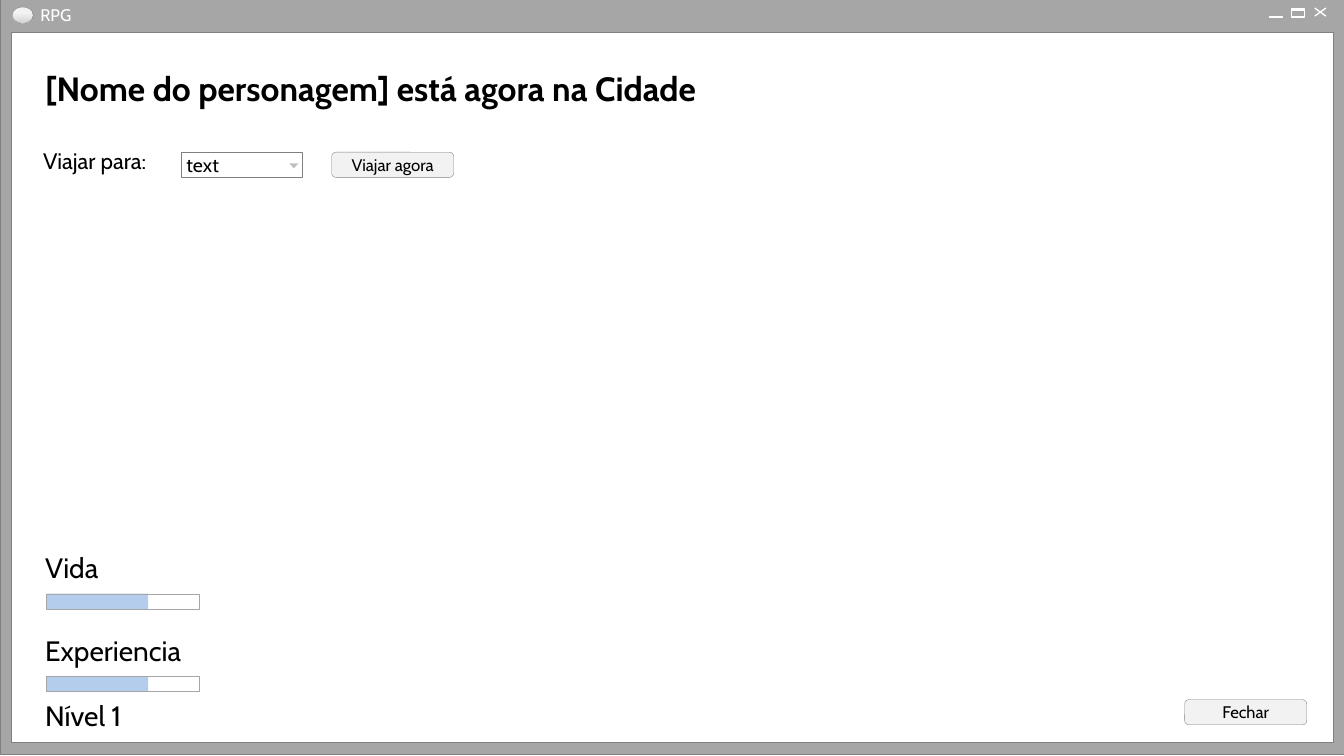
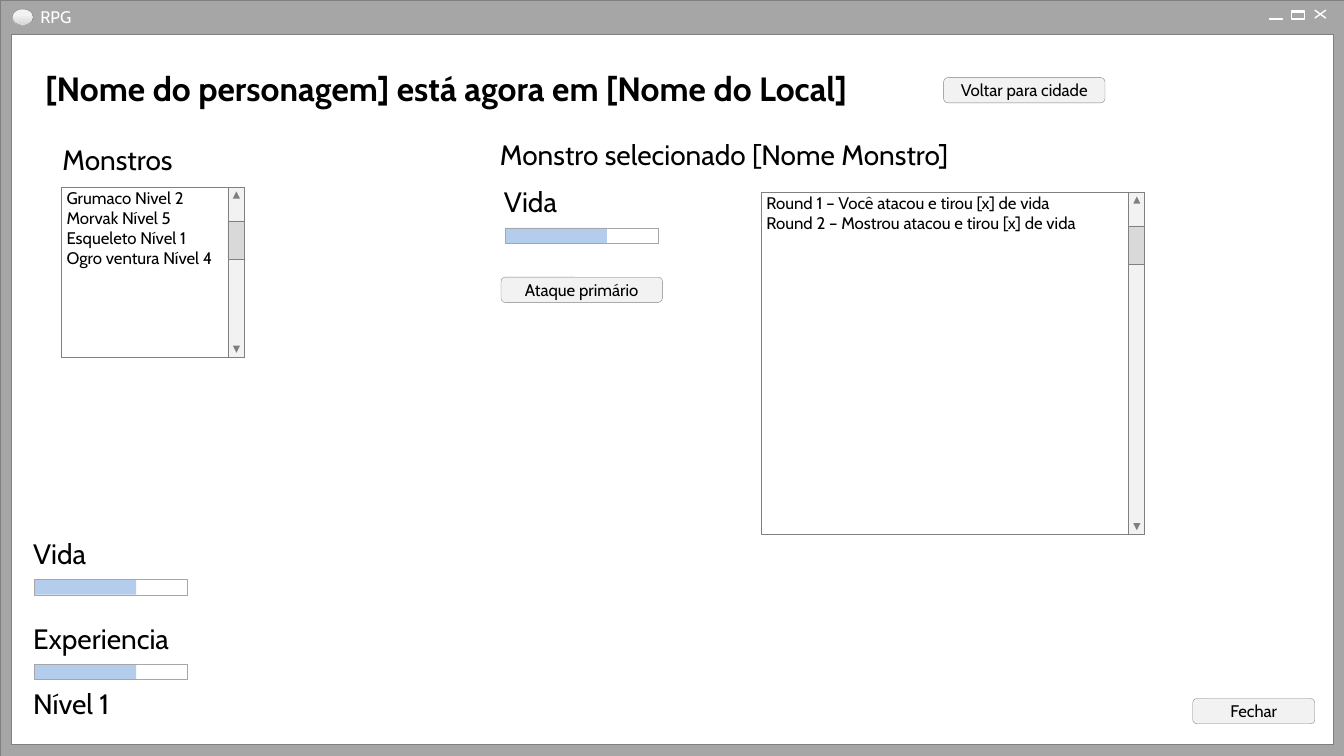
from copy import deepcopy
from dataclasses import dataclass

from lxml.etree import SubElement
from pptx import Presentation
from pptx.dml.color import RGBColor
from pptx.enum.shapes import MSO_CONNECTOR as CONN, MSO_SHAPE as SHAPE
from pptx.enum.text import MSO_ANCHOR as ANCHOR, MSO_AUTO_SIZE as AUTO, PP_ALIGN as ALIGN
from pptx.oxml.ns import qn
from pptx.util import Inches, Pt

FONT = "Cabin"
COLORS = {
    "black": "000000",
    "white": "FFFFFF",
    "chrome": "A6A6A6",
    "border": "808080",
    "icon": "919191",
    "button": "F2F2F2",
    "thumb": "D9D9D9",
    "arrow": "BFBFBF",
    "meter": "558ED5",
}
LABEL_INSETS = (0.1, 0.02, 0.1, 0.03)
LIST_INSETS = (0.05, 0, 0, 0.02)
BUTTON_INSETS = (0.1, 0, 0.1, 0.01)


@dataclass(frozen=True)
class Box:
    x: float
    y: float
    w: float
    h: float

    def lengths(self) -> tuple:
        return tuple(Inches(v) for v in (self.x, self.y, self.w, self.h))


@dataclass(frozen=True)
class Label:
    text: str
    box: Box
    size: int = 20


@dataclass(frozen=True)
class Button:
    text: str
    box: Box


@dataclass(frozen=True)
class ListPanel:
    items: tuple
    box: Box


@dataclass(frozen=True)
class Screen:
    title: Label
    layout: int
    window_y: float
    status_x: float
    status_y: float
    status_gap: float
    labels: tuple
    buttons: tuple
    meters: tuple = ()
    lists: tuple = ()


def rgb(name: str) -> RGBColor:
    return RGBColor.from_string(COLORS[name])


def add_box(shapes, kind, box: Box, fill=None, line=None, width=0.25, rotation=0):
    sp = shapes.add_shape(kind, *box.lengths())
    sp.shadow.inherit = False
    sp.rotation = rotation
    if fill:
        sp.fill.solid()
        sp.fill.fore_color.rgb = rgb(fill)
    else:
        sp.fill.background()
    if line:
        sp.line.color.rgb = rgb(line)
        sp.line.width = Pt(width)
    else:
        sp.line.fill.background()
    return sp


def write(sp, text: str, size: int, insets=LABEL_INSETS, color="black", bold=False,
          align=ALIGN.LEFT, anchor=ANCHOR.MIDDLE, wrap=False) -> None:
    tf = sp.text_frame
    tf.text = text
    tf.word_wrap = wrap
    tf.auto_size = AUTO.NONE
    tf.vertical_anchor = anchor
    tf.margin_left, tf.margin_top, tf.margin_right, tf.margin_bottom = map(Inches, insets)
    for p in tf.paragraphs:
        p.alignment = align
        for r in p.runs:
            r.font.name = FONT
            r.font.size = Pt(size)
            r.font.bold = bold
            r.font.color.rgb = rgb(color)


def place(sp, box: Box) -> None:
    sp.left, sp.top, sp.width, sp.height = box.lengths()
    sp.element.getparent().append(sp.element)


def add_label(shapes, label: Label, **style) -> None:
    write(shapes.add_textbox(*label.box.lengths()), label.text, label.size, **style)


def add_button(shapes, button: Button) -> None:
    sp = add_box(shapes, SHAPE.ROUNDED_RECTANGLE, button.box, "button", "border")
    write(sp, button.text, 12, BUTTON_INSETS, align=ALIGN.CENTER, wrap=True)


def add_stroke(shapes, x1: float, y1: float, x2: float, y2: float) -> None:
    cx = shapes.add_connector(CONN.STRAIGHT, *map(Inches, (x1, y1, x2, y2)))
    cx.line.color.rgb = rgb("white")
    cx.line.width = Pt(1)
    SubElement(cx.element.spPr, qn("a:effectLst"))


def add_orb(shapes, box: Box) -> None:
    sp = add_box(shapes, SHAPE.OVAL, box, line="border")
    sp.fill.gradient()
    sp.fill.gradient_angle = 270
    stops = sp.element.spPr.find(".//" + qn("a:gsLst"))
    stops.append(deepcopy(stops[-1]))
    tones = ((0.36, "button"), (0.91, "thumb"), (1, "button"))
    for stop, (position, tone) in zip(sp.fill.gradient_stops, tones):
        stop.position = position
        stop.color.rgb = rgb(tone)


def add_window(s, y: float) -> None:
    shapes = s.shapes.add_group_shape().shapes
    add_box(shapes, SHAPE.RECTANGLE, Box(0, y, 13.33, 7.5), "chrome", "border")
    add_box(shapes, SHAPE.RECTANGLE, Box(0.11, y + 0.34, 13.11, 7.04), "white", "border")
    add_label(shapes, Label("RPG", Box(0.35, y + 0.05, 0.46, 0.25), 12),
              insets=(0.05, 0.02, 0.1, 0.03), color="white")
    top, bottom = y + 0.1, y + 0.18
    add_stroke(shapes, 13.04, top, 13.15, bottom)
    add_stroke(shapes, 13.15, top, 13.04, bottom)
    for x, bar_y in ((12.81, y + 0.11), (12.59, bottom)):
        add_box(shapes, SHAPE.RECTANGLE, Box(x, bar_y, 0.13, 0.01), "icon", "white")
    add_box(shapes, SHAPE.RECTANGLE, Box(12.81, y + 0.11, 0.13, 0.08), line="white", width=1)
    add_orb(shapes, Box(0.12, y + 0.09, 0.21, 0.16))


def add_meter(s, label: Label) -> None:
    add_label(s.shapes, label)
    shapes = s.shapes.add_group_shape().shapes
    x, y = label.box.x + 0.11, label.box.y + 0.45
    level = add_box(shapes, SHAPE.RECTANGLE, Box(x, y, 1.01, 0.15), "meter")
    color = level.element.spPr.find(".//" + qn("a:srgbClr"))
    SubElement(color, qn("a:alpha"), val="44000")
    add_box(shapes, SHAPE.RECTANGLE, Box(x, y, 1.52, 0.15), line="chrome")


def add_status(s, x: float, y: float, gap: float) -> None:
    add_meter(s, Label("Vida", Box(x, y, 0.75, 0.39)))
    add_meter(s, Label("Experiencia", Box(x, y + gap, 1.6, 0.39)))
    add_label(s.shapes, Label("Nível 1", Box(x, y + gap + 0.65, 1.06, 0.39)))


def add_dropdown(s, text: str, box: Box) -> None:
    shapes = s.shapes.add_group_shape().shapes
    field = add_box(shapes, SHAPE.RECTANGLE, box, "white", "border")
    write(field, text, 14, (0.05,) * 4, wrap=True)
    arrow = Box(box.x + box.w - 0.13, box.y + 0.11, 0.09, 0.05)
    add_box(shapes, SHAPE.ISOSCELES_TRIANGLE, arrow, "arrow", rotation=180)


def add_list(s, panel: ListPanel, body) -> None:
    box = panel.box
    shapes = s.shapes.add_group_shape().shapes
    bar_x = box.x + box.w - 0.16
    add_box(shapes, SHAPE.RECTANGLE, box, "white", "border")
    add_box(shapes, SHAPE.RECTANGLE, Box(bar_x, box.y, 0.16, box.h), "button", "border")
    add_box(shapes, SHAPE.RECTANGLE, Box(bar_x, box.y + 0.33, 0.16, 0.38), "thumb", "border")
    for y, rotation in ((box.y + 0.04, 0), (box.y + box.h - 0.11, 180)):
        add_box(shapes, SHAPE.ISOSCELES_TRIANGLE, Box(bar_x + 0.05, y, 0.07, 0.07),
                "border", rotation=rotation)
    place(body, Box(box.x, box.y, box.w, 0.21 * len(panel.items)))
    write(body, "\n".join(panel.items), 12, LIST_INSETS, anchor=ANCHOR.TOP, wrap=True)
    for p in body.text_frame.paragraphs:
        p.space_before = Pt(0)
        pPr = p._p.get_or_add_pPr()
        pPr.set("marL", "0")
        pPr.set("indent", "0")
        SubElement(pPr, qn("a:buNone"))


def add_screen(prs, screen: Screen):
    s = prs.slides.add_slide(prs.slide_layouts[screen.layout])
    bodies = [ph for ph in s.placeholders if ph.placeholder_format.idx > 0]
    add_window(s, screen.window_y)
    place(s.shapes.title, screen.title.box)
    write(s.shapes.title, screen.title.text, screen.title.size, bold=True)
    add_status(s, screen.status_x, screen.status_y, screen.status_gap)
    for label in screen.labels:
        add_label(s.shapes, label)
    for meter in screen.meters:
        add_meter(s, meter)
    for button in screen.buttons:
        add_button(s.shapes, button)
    for panel, body in zip(screen.lists, bodies):
        add_list(s, panel, body)
    return s


CITY = Screen(
    title=Label("[Nome do personagem] está agora na Cidade", Box(0.35, 0.65, 7.37, 0.45), 24),
    layout=5,
    window_y=-0.02,
    status_x=0.35,
    status_y=5.44,
    status_gap=0.82,
    labels=(Label("Viajar para:", Box(0.33, 1.44, 1.3, 0.32), 16),),
    buttons=(
        Button("Viajar agora", Box(3.29, 1.51, 1.21, 0.25)),
        Button("Fechar", Box(11.75, 6.94, 1.21, 0.25)),
    ),
)
BATTLE = Screen(
    title=Label("[Nome do personagem] está agora em [Nome do Local]",
                Box(0.35, 0.65, 9.01, 0.45), 24),
    layout=3,
    window_y=0,
    status_x=0.23,
    status_y=5.3,
    status_gap=0.84,
    labels=(
        Label("Monstros", Box(0.52, 1.39, 1.37, 0.39)),
        Label("Monstro selecionado [Nome Monstro]", Box(4.86, 1.34, 4.94, 0.39)),
    ),
    buttons=(
        Button("Voltar para cidade", Box(9.36, 0.77, 1.6, 0.25)),
        Button("Ataque primário", Box(4.97, 2.75, 1.6, 0.25)),
        Button("Fechar", Box(11.83, 6.93, 1.21, 0.25)),
    ),
    meters=(Label("Vida", Box(4.9, 1.81, 0.75, 0.39)),),
    lists=(
        ListPanel(("Grumaco Nivel 2", "Morvak Nível 5", "Esqueleto Nível 1",
                   "Ogro ventura Nível 4"), Box(0.61, 1.86, 1.81, 1.68)),
        ListPanel(("Round 1 – Você atacou e tirou [x] de vida",
                   "Round 2 – Mostrou atacou e tirou [x] de vida"),
                  Box(7.55, 1.91, 3.8, 3.39)),
    ),
)


def main() -> None:
    prs = Presentation()
    prs.slide_width, prs.slide_height = Inches(13.33), Inches(7.5)
    city = add_screen(prs, CITY)
    add_dropdown(city, "text", Box(1.8, 1.51, 1.2, 0.25))
    add_screen(prs, BATTLE)
    prs.save("out.pptx")


if __name__ == "__main__":
    main()
